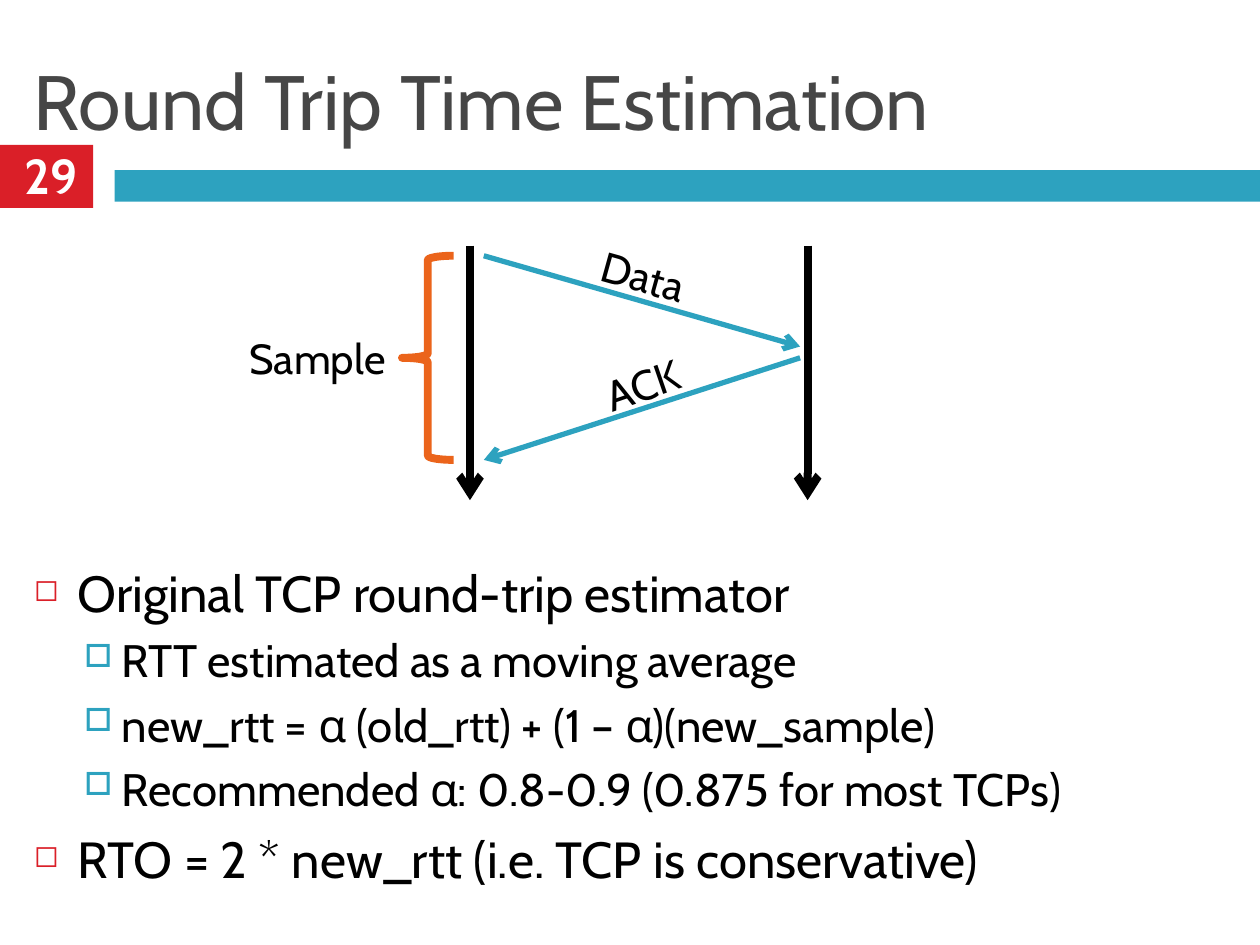
import pptx
import pptx.dml.color
import pptx.enum.shapes
import pptx.enum.text
import pptx.oxml
import pptx.oxml.ns
import pptx.util
from pptx.util import Inches

SHAPES = pptx.enum.shapes.MSO_SHAPE
ALIGN = pptx.enum.text.PP_ALIGN
ANCHOR = pptx.enum.text.MSO_ANCHOR
BLACK, WHITE, GREY = "000000", "FFFFFF", "464646"
RED, TEAL, ORANGE = "DA1F28", "2DA2BF", "EB641B"


def colour(value):
    return pptx.dml.color.RGBColor.from_string(value)


def add_element(parent, tag, **attributes):
    element = pptx.oxml.parse_xml(f"<a:{tag} {pptx.oxml.ns.nsdecls('a')}/>")
    for name, value in attributes.items():
        element.set(name, str(value))
    parent.append(element)
    return element


class SlideBuilder:
    font = "Cabin"
    levels = (
        dict(size=29, before=7, left=0.35, hang=0.35, mark="◻", tint=RED, scale=60),
        dict(size=26, before=5.5, left=0.7, hang=0.3, mark="□", tint=TEAL, scale=70),
    )

    def __init__(self, deck):
        self.page = deck.slides.add_slide(deck.slide_layouts[6])

    def shape(self, kind, area, fill=None, line=None, width=0):
        shape = self.page.shapes.add_shape(kind, *map(Inches, area))
        shape.shadow.inherit = False
        if fill:
            shape.fill.solid()
            shape.fill.fore_color.rgb = colour(fill)
        else:
            shape.fill.background()
        if line:
            shape.line.color.rgb = colour(line)
            shape.line.width = pptx.util.Pt(width)
        else:
            shape.line.fill.background()

    def arrow(self, start, end, tint, width):
        arrow = self.page.shapes.add_connector(
            pptx.enum.shapes.MSO_CONNECTOR.STRAIGHT, *map(Inches, start + end))
        arrow.line.color.rgb = colour(tint)
        arrow.line.width = pptx.util.Pt(width)
        add_element(arrow.line._get_or_add_ln(), "tailEnd", type="arrow")
        add_element(arrow._element.spPr, "effectLst")

    def frame(self, area, anchor=ANCHOR.TOP, rotation=0):
        box = self.page.shapes.add_textbox(*map(Inches, area))
        box.rotation = rotation
        box.text_frame.word_wrap = True
        box.text_frame.vertical_anchor = anchor
        return box.text_frame

    def span(self, para, text, size, tint=BLACK, bold=False):
        span = para.add_run()
        span.text = text
        span.font.name = self.font
        span.font.size = pptx.util.Pt(size)
        span.font.bold = bold
        span.font.color.rgb = colour(tint)

    def label(self, text, area, size=24, tint=BLACK, bold=False,
              align=ALIGN.CENTER, anchor=ANCHOR.TOP, rotation=0):
        para = self.frame(area, anchor, rotation).paragraphs[0]
        para.alignment = align
        self.span(para, text, size, tint, bold)

    def bullets(self, items, area):
        frame = self.frame(area)
        for index, (level, text) in enumerate(items):
            style = self.levels[level]
            para = frame.add_paragraph() if index else frame.paragraphs[0]
            para.level = level
            if index:
                para.space_before = pptx.util.Pt(style["before"])
            properties = para._p.get_or_add_pPr()
            properties.set("marL", str(Inches(style["left"])))
            properties.set("indent", str(-Inches(style["hang"])))
            add_element(add_element(properties, "buClr"), "srgbClr", val=style["tint"])
            add_element(properties, "buSzPct", val=style["scale"] * 1000)
            add_element(properties, "buChar", char=style["mark"])
            self.span(para, text, style["size"])


def main():
    deck = pptx.Presentation()
    deck.slide_width, deck.slide_height = Inches(10), Inches(7.5)
    slide = SlideBuilder(deck)

    slide.shape(SHAPES.RECTANGLE, (0, 1.15, 0.74, 0.5), fill=RED)
    slide.shape(SHAPES.RECTANGLE, (0.91, 1.35, 9.35, 0.25), fill=TEAL)
    slide.label("Round Trip Time Estimation", (0.17, 0.25, 9.67, 1.08), size=44,
                tint=GREY, align=ALIGN.LEFT, anchor=ANCHOR.MIDDLE)
    slide.label("29", (0, 1.07, 0.82, 0.64), size=28, tint=WHITE, bold=True,
                anchor=ANCHOR.MIDDLE)
    slide.bullets([
        (0, "Original TCP round-trip estimator"),
        (1, "RTT estimated as a moving average"),
        (1, "new_rtt = α (old_rtt) + (1 – α)(new_sample)"),
        (1, "Recommended α: 0.8-0.9 (0.875 for most TCPs)"),
        (0, "RTO = 2 * new_rtt (i.e. TCP is conservative)"),
    ], (0.17, 4.41, 9.67, 2.93))

    for timeline in (3.73, 6.41):
        slide.arrow((timeline, 1.95), (timeline, 3.97), BLACK, 4.5)
    sender, receiver = 3.84, 6.35
    slide.arrow((sender, 2.03), (receiver, 2.75), TEAL, 3)
    slide.label("Data", (4.01, 1.94, 2.19, 0.5), rotation=15.6)
    slide.arrow((receiver, 2.84), (sender, 3.65), TEAL, 3)
    slide.label("ACK", (4.52, 2.8, 1.16, 0.5), rotation=341)
    slide.shape(SHAPES.LEFT_BRACE, (3.19, 2.03, 0.41, 1.62), line=ORANGE, width=4.5)
    slide.label("Sample", (1.78, 2.59, 1.48, 0.5))

    deck.save("out.pptx")


if __name__ == "__main__":
    main()
